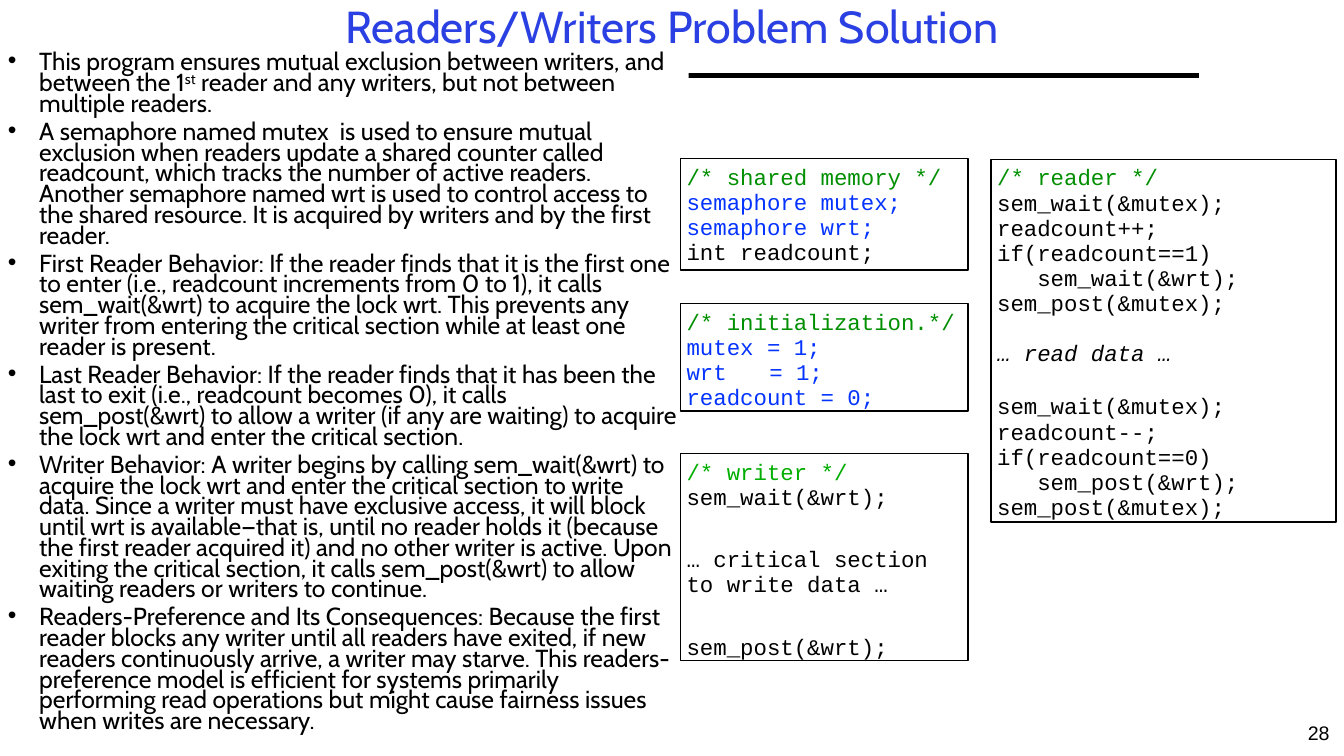
from lxml.etree import SubElement
from pptx import Presentation
from pptx.dml.color import RGBColor
from pptx.enum.shapes import MSO_CONNECTOR, MSO_SHAPE
from pptx.enum.text import MSO_ANCHOR, PP_ALIGN
from pptx.oxml.ns import qn
from pptx.util import Inches, Pt

COLORS = {
    "title": "2A40E2",
    "text": "000000",
    "paper": "FFFFFF",
    "comment": "008F00",
    "writer": "00AE00",
    "shared": "0433FF",
}

EXPLANATIONS = [
    [("This program ensures mutual exclusion between writers, and between the 1", False),
     ("st", True),
     (" reader and any writers, but not between multiple readers.", False)],
    [("A semaphore named mutex  is used to ensure mutual exclusion when readers update a "
      "shared counter called readcount, which tracks the number of active readers. Another "
      "semaphore named wrt is used to control access to the shared resource. It is acquired "
      "by writers and by the first reader.", False)],
    [("First Reader Behavior: If the reader finds that it is the first one to enter (i.e., "
      "readcount increments from 0 to 1), it calls sem_wait(&wrt) to acquire the lock wrt. "
      "This prevents any writer from entering the critical section while at least one "
      "reader is present.", False)],
    [("Last Reader Behavior: If the reader finds that it has been the last to exit (i.e., "
      "readcount becomes 0), it calls sem_post(&wrt) to allow a writer (if any are waiting) "
      "to acquire the lock wrt and enter the critical section.", False)],
    [("Writer Behavior: A writer begins by calling sem_wait(&wrt) to acquire the lock wrt "
      "and enter the critical section to write data. Since a writer must have exclusive "
      "access, it will block until wrt is available—that is, until no reader holds it "
      "(because the first reader acquired it) and no other writer is active. Upon exiting "
      "the critical section, it calls sem_post(&wrt) to allow waiting readers or writers to "
      "continue.", False)],
    [("Readers-Preference and Its Consequences: Because the first reader blocks any writer "
      "until all readers have exited, if new readers continuously arrive, a writer may "
      "starve. This readers-preference model is efficient for systems primarily performing "
      "read operations but might cause fairness issues when writes are necessary.", False)],
]

SHARED_MEMORY = [
    ("/* shared memory */", "comment", 0),
    ("semaphore mutex;", "shared", 0),
    ("semaphore wrt;", "shared", 0),
    ("int readcount;", "text", 0),
]
INITIALIZATION = [
    ("/* initialization.*/", "comment", 0),
    ("mutex = 1;", "shared", 0),
    ("wrt\t= 1;", "shared", 0),
    ("readcount = 0;", "shared", 0),
]
WRITER = [
    ("/* writer */", "writer", 0),
    ("sem_wait(&wrt);", "text", 0),
    ("… critical section", "text", 26.4),
    ("to write data …", "text", 0),
    ("sem_post(&wrt);", "text", 26.4),
]
READER = [
    ("/* reader */", "comment", 0),
    ("sem_wait(&mutex);", "text", 0),
    ("readcount++;", "text", 0),
    ("if(readcount==1)", "text", 0),
    ("   sem_wait(&wrt);", "text", 0),
    ("sem_post(&mutex);", "text", 0),
    ("… read data …", "text", 17.7),
    ("sem_wait(&mutex);", "text", 19.9),
    ("readcount--;", "text", 0),
    ("if(readcount==0)", "text", 0),
    ("   sem_post(&wrt);", "text", 0),
    ("sem_post(&mutex);", "text", 0),
]


def color(name):
    return RGBColor.from_string(COLORS[name])


def set_font(paragraph, face, size, tone):
    paragraph.font.name = face
    paragraph.font.size = Pt(size)
    paragraph.font.color.rgb = color(tone)


def add_heading(slide, left, top, width, height):
    rule = slide.shapes.add_connector(
        MSO_CONNECTOR.STRAIGHT, Inches(left), Inches(top + 0.75),
        Inches(left + width), Inches(top + 0.75))
    rule.line.color.rgb = color("text")
    rule.line.width = Pt(3)
    SubElement(rule._element.spPr, qn("a:effectLst"))

    heading = slide.shapes.add_textbox(
        Inches(left), Inches(top), Inches(width), Inches(height)).text_frame
    heading.word_wrap = True
    heading.vertical_anchor = MSO_ANCHOR.MIDDLE
    line = heading.paragraphs[0]
    line.text = "Readers/Writers Problem Solution"
    line.alignment = PP_ALIGN.CENTER
    line.line_spacing = 0.9
    set_font(line, "Cabin", 32, "title")


def add_panel(slide, left, top, width, height):
    panel = slide.shapes.add_shape(
        MSO_SHAPE.RECTANGLE, Inches(left), Inches(top), Inches(width), Inches(height))
    panel.shadow.inherit = False
    panel.text_frame.word_wrap = True
    panel.text_frame.vertical_anchor = MSO_ANCHOR.TOP
    return panel


def add_explanations(slide, left, top, width, height):
    panel = add_panel(slide, left, top, width, height)
    panel.fill.solid()
    panel.fill.fore_color.rgb = color("paper")
    panel.line.fill.background()
    body = panel.text_frame
    for index, pieces in enumerate(EXPLANATIONS):
        item = body.add_paragraph() if index else body.paragraphs[0]
        properties = item._p.get_or_add_pPr()
        properties.set("marL", str(Inches(0.31)))
        properties.set("indent", str(-Inches(0.31)))
        SubElement(properties, qn("a:buFont"), typeface="Arial")
        SubElement(properties, qn("a:buChar"), char="•")
        set_font(item, "Cabin", 17.6, "text")
        item.alignment = PP_ALIGN.LEFT
        item.line_spacing = 0.7
        item.space_before = Pt(5.3 if index else 0)
        for words, raised in pieces:
            run = item.add_run()
            run.text = words
            if raised:
                run.font._element.set("baseline", "30000")


def add_code(slide, lines, left, top, width, height):
    panel = add_panel(slide, left, top, width, height)
    panel.fill.background()
    panel.line.color.rgb = color("text")
    panel.line.width = Pt(1)
    code = panel.text_frame
    code.margin_left = code.margin_top = Inches(0.06)
    code.margin_right = code.margin_bottom = 0
    for index, (words, tone, gap) in enumerate(lines):
        line = code.add_paragraph() if index else code.paragraphs[0]
        if "\t" in words:
            tabs = SubElement(line._p.get_or_add_pPr(), qn("a:tabLst"))
            SubElement(tabs, qn("a:tab"), pos=str(Inches(0.82)), algn="l")
        line.text = words
        set_font(line, "Courier New", 16, tone)
        line.font.italic = "read data" in words
        line.alignment = PP_ALIGN.LEFT
        line.line_spacing = Pt(18)
        line.space_before = Pt(gap)


def add_page_number(slide, left, top, width, height):
    footer = slide.shapes.add_textbox(
        Inches(left), Inches(top), Inches(width), Inches(height)).text_frame
    footer.word_wrap = True
    number = footer.paragraphs[0]
    number.text = "28"
    number.alignment = PP_ALIGN.CENTER
    set_font(number, "Arial", 14, "text")


def main():
    deck = Presentation()
    deck.slide_width = Inches(13.33)
    deck.slide_height = Inches(7.5)
    slide = deck.slides.add_slide(deck.slide_layouts[6])
    add_heading(slide, 1.44, 0, 10.45, 0.58)
    add_explanations(slide, -0.02, 0.49, 6.85, 7.09)
    add_code(slide, SHARED_MEMORY, 6.75, 1.57, 2.85, 1.11)
    add_code(slide, READER, 9.83, 1.58, 3.42, 3.6)
    add_code(slide, INITIALIZATION, 6.75, 3.01, 2.85, 1.07)
    add_code(slide, WRITER, 6.75, 4.5, 2.85, 2.05)
    add_page_number(slide, 12.83, 7.1, 0.5, 0.4)
    deck.save("out.pptx")


if __name__ == "__main__":
    main()
